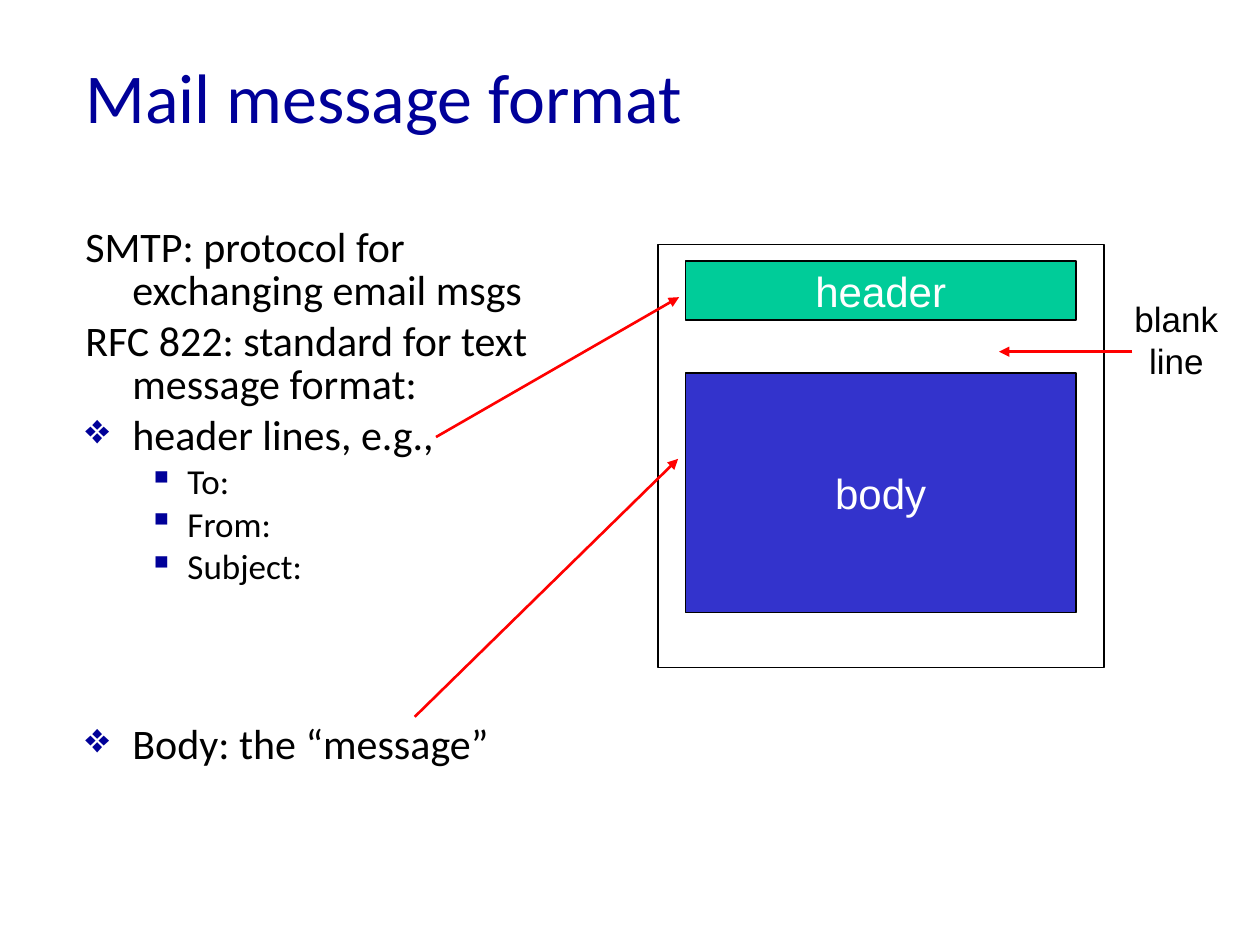
from lxml.etree import SubElement
from pptx import Presentation
from pptx.dml.color import RGBColor
from pptx.enum.shapes import MSO_CONNECTOR, MSO_SHAPE
from pptx.enum.text import MSO_ANCHOR, PP_ALIGN
from pptx.oxml.ns import qn
from pptx.util import Cm, Pt


def rgb(color):
    return RGBColor.from_string(color)


def write(p, text, size=24, font="Calibri", color="000000", align=PP_ALIGN.LEFT,
          before=0, spacing=1.0, margin=0, hang=0, bullet=None):
    p.alignment = align
    p.space_before = Pt(before)
    p.line_spacing = spacing
    pPr = p._p.get_or_add_pPr()
    pPr.set("marL", str(Cm(margin)))
    pPr.set("indent", str(-Cm(hang)))
    if bullet:
        clr = SubElement(pPr, qn("a:buClr"))
        SubElement(clr, qn("a:srgbClr"), val="000099")
        SubElement(pPr, qn("a:buChar"), char=bullet)
    else:
        SubElement(pPr, qn("a:buNone"))
    r = p.add_run()
    r.text = text
    r.font.size = Pt(size)
    r.font.name = font
    r.font.color.rgb = rgb(color)


prs = Presentation()
prs.slide_width, prs.slide_height = Cm(25.4), Cm(19.05)
s = prs.slides.add_slide(prs.slide_layouts[5])

title = s.shapes.title
title.left, title.top, title.width, title.height = Cm(1.47), Cm(0.33), Cm(21.59), Cm(3.18)
title.text_frame.vertical_anchor = MSO_ANCHOR.MIDDLE
write(title.text_frame.paragraphs[0], "Mail message format", size=40, color="000099")

plain = dict(margin=0.95, hang=0.95)
point = dict(plain, bullet="❖")
sub = dict(size=20, margin=2.06, hang=0.79, bullet="▪")
lines = [
    ("SMTP: protocol for exchanging email msgs", 0, plain),
    ("RFC 822: standard for text message format:", 4.8, plain),
    ("header lines, e.g.,", 4.8, point),
    ("To:", 4, sub),
    ("From:", 4, sub),
    ("Subject:", 4, sub),
    ("Body: the “message”", 79, point),
]
tf = s.shapes.add_textbox(Cm(1.47), Cm(4.47), Cm(10.59), Cm(12.9)).text_frame
tf.word_wrap = True
for i, (text, before, style) in enumerate(lines):
    p = tf.add_paragraph() if i else tf.paragraphs[0]
    write(p, text, before=before, spacing=0.85, **style)

boxes = [
    ("header", 13.82, 5.26, 7.87, 1.19, "00CC99", 0.75),
    ("body", 13.82, 7.52, 7.87, 4.83, "3333CC", 0.75),
    (None, 13.26, 4.93, 8.99, 8.53, None, 1),
]
for text, x, y, w, h, fill, weight in boxes:
    sp = s.shapes.add_shape(MSO_SHAPE.RECTANGLE, Cm(x), Cm(y), Cm(w), Cm(h))
    sp.shadow.inherit = False
    sp.line.color.rgb = rgb("000000")
    sp.line.width = Pt(weight)
    if fill:
        sp.fill.solid()
        sp.fill.fore_color.rgb = rgb(fill)
    else:
        sp.fill.background()
    if text:
        sp.text_frame.vertical_anchor = MSO_ANCHOR.MIDDLE
        write(sp.text_frame.paragraphs[0], text, font="Arial", color="FFFFFF",
              align=PP_ALIGN.CENTER)

tf = s.shapes.add_textbox(Cm(22.61), Cm(5.87), Cm(2.21), Cm(1.96)).text_frame
tf.word_wrap = True
for i, text in enumerate(["blank", "line"]):
    p = tf.add_paragraph() if i else tf.paragraphs[0]
    write(p, text, size=20, font="Arial", align=PP_ALIGN.CENTER)

arrows = [
    (8.79, 8.81, 13.69, 5.99),
    (8.36, 14.45, 13.67, 9.25),
    (22.83, 7.09, 20.14, 7.09),
]
for ends in arrows:
    arrow = s.shapes.add_connector(MSO_CONNECTOR.STRAIGHT, *map(Cm, ends))
    arrow.line.color.rgb = rgb("FF0000")
    arrow.line.width = Pt(1.5)
    SubElement(arrow.line._get_or_add_ln(), qn("a:tailEnd"), type="triangle")
    SubElement(arrow._element.spPr, qn("a:effectLst"))

prs.save("out.pptx")
